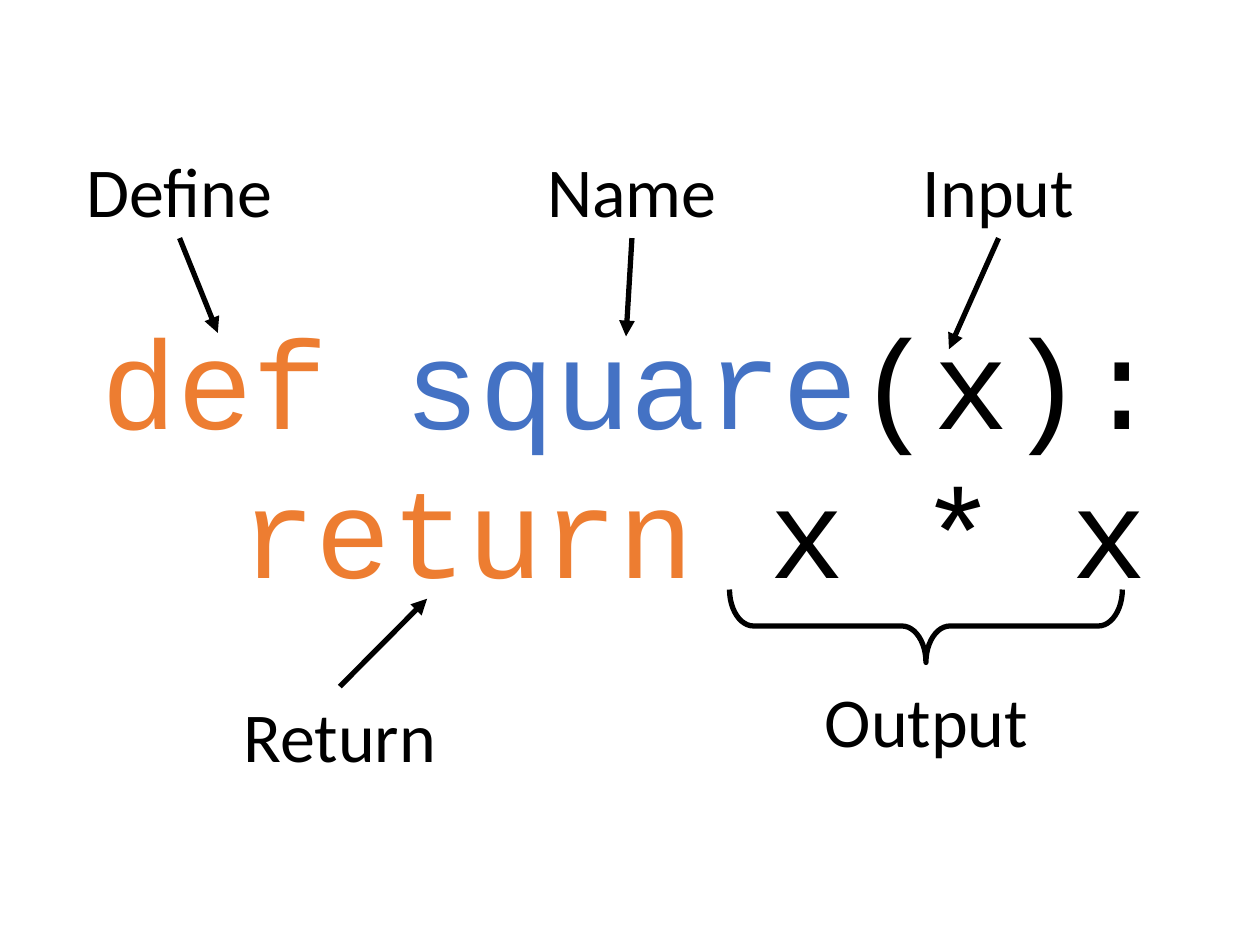
from typing import NamedTuple

from lxml.etree import SubElement
from pptx import Presentation
from pptx.dml.color import RGBColor
from pptx.enum.shapes import MSO_CONNECTOR as Connector, MSO_SHAPE as Shape
from pptx.enum.text import MSO_ANCHOR as Anchor, PP_ALIGN as Align
from pptx.oxml.ns import qn
from pptx.util import Cm, Pt

BLACK = RGBColor(0, 0, 0)
ORANGE = RGBColor(0xED, 0x7D, 0x31)
BLUE = RGBColor(0x44, 0x72, 0xC4)

LABEL_WIDTH, LABEL_HEIGHT = 7.24, 1.96
LINE_WIDTH = Pt(3)
TOP, BOTTOM = 0, 2  # connection sites of a label

LABEL_FONT = {"name": "Calibri", "size": Pt(40)}
CODE_FONT = {"name": "Courier New", "size": Pt(72)}
CODE_PARAGRAPH = {"alignment": Align.CENTER, "line_spacing": 0.9}


class Label(NamedTuple):
    """A label in centimetres, with an optional arrow from one of its sides."""
    text: str
    left: float
    top: float
    site: int = BOTTOM
    target: tuple[float, float] | None = None


class Token(NamedTuple):
    text: str
    color: RGBColor


LABELS = [
    Label("Define", 0, 2.84, BOTTOM, (4.39, 6.71)),
    Label("Name", 9.12, 2.84, BOTTOM, (12.62, 6.78)),
    Label("Input", 16.51, 2.84, BOTTOM, (19.13, 7.04)),
    Label("Return", 3.23, 13.84, TOP, (8.61, 12.07)),
    Label("Output", 15.06, 13.54),
]
CODE = [
    [Token("def ", ORANGE), Token("square", BLUE), Token("(x): ", BLACK)],
    [Token("\t", BLACK), Token("return", ORANGE), Token(" x * x", BLACK)],
]


def apply(target, values: dict) -> None:
    for name, value in values.items():
        setattr(target, name, value)


def add_token(paragraph, token: Token, font: dict) -> None:
    run = paragraph.add_run()
    run.text = token.text
    apply(run.font, font)
    run.font.color.rgb = token.color


def add_code(slide, lines: list[list[Token]]) -> None:
    box = slide.shapes.add_textbox(Cm(1.57), Cm(1.42), Cm(22.3), Cm(15.82))
    frame = box.text_frame
    apply(frame, {"word_wrap": True, "vertical_anchor": Anchor.MIDDLE})
    for index, tokens in enumerate(lines):
        paragraph = frame.add_paragraph() if index else frame.paragraphs[0]
        apply(paragraph, CODE_PARAGRAPH)
        if index:
            paragraph.space_before = Pt(7.5)
        tabs = SubElement(paragraph._p.get_or_add_pPr(), qn("a:tabLst"))
        SubElement(tabs, qn("a:tab"), pos=str(Cm(2.54)), algn="l")
        for token in tokens:
            add_token(paragraph, token, CODE_FONT)


def add_arrow(slide, box, label: Label) -> None:
    x, y = (Cm(value) for value in label.target)
    arrow = slide.shapes.add_connector(Connector.STRAIGHT, x, y, x, y)
    arrow.begin_connect(box, label.site)
    arrow.line.width = LINE_WIDTH
    arrow.line.color.rgb = BLACK
    SubElement(arrow.line._get_or_add_ln(), qn("a:tailEnd"), type="triangle")
    SubElement(arrow._element.spPr, qn("a:effectLst"))


def add_label(slide, label: Label) -> None:
    box = slide.shapes.add_textbox(
        Cm(label.left), Cm(label.top), Cm(LABEL_WIDTH), Cm(LABEL_HEIGHT))
    box.text_frame.word_wrap = True
    paragraph = box.text_frame.paragraphs[0]
    paragraph.alignment = Align.CENTER
    add_token(paragraph, Token(label.text, BLACK), LABEL_FONT)
    if label.target:
        add_arrow(slide, box, label)


def add_brace(slide) -> None:
    brace = slide.shapes.add_shape(
        Shape.RIGHT_BRACE, Cm(17.93), Cm(8.66), Cm(1.47), Cm(7.92))
    brace.rotation = 90
    brace.adjustments[0] = 0.33
    brace.adjustments[1] = 0.5
    brace.shadow.inherit = False
    brace.fill.background()
    brace.line.width = LINE_WIDTH
    brace.line.color.rgb = BLACK


def main() -> None:
    presentation = Presentation()
    apply(presentation, {"slide_width": Cm(25.4), "slide_height": Cm(19.05)})
    slide = presentation.slides.add_slide(presentation.slide_layouts[6])

    # Function definition
    add_code(slide, CODE)

    # Labels with their arrows
    for label in LABELS:
        add_label(slide, label)

    # Brace under the returned expression
    add_brace(slide)

    presentation.save("out.pptx")


if __name__ == "__main__":
    main()
